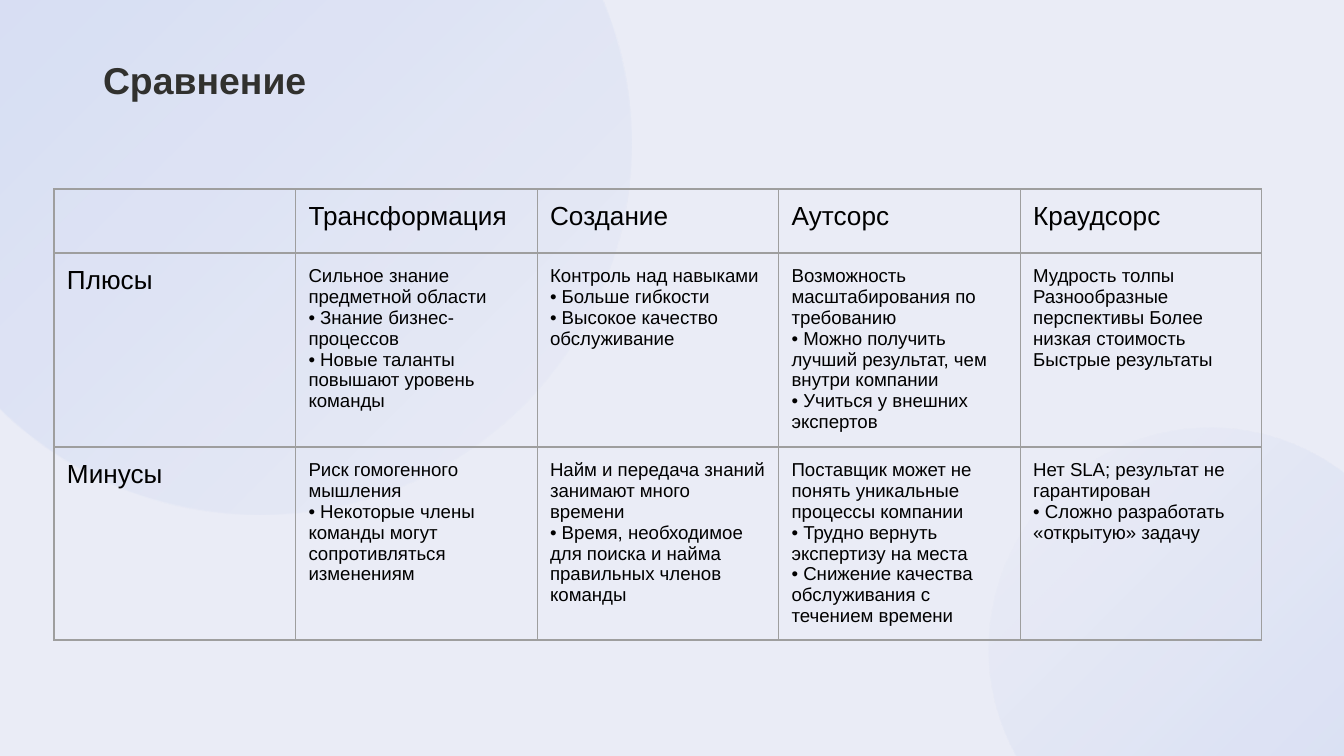
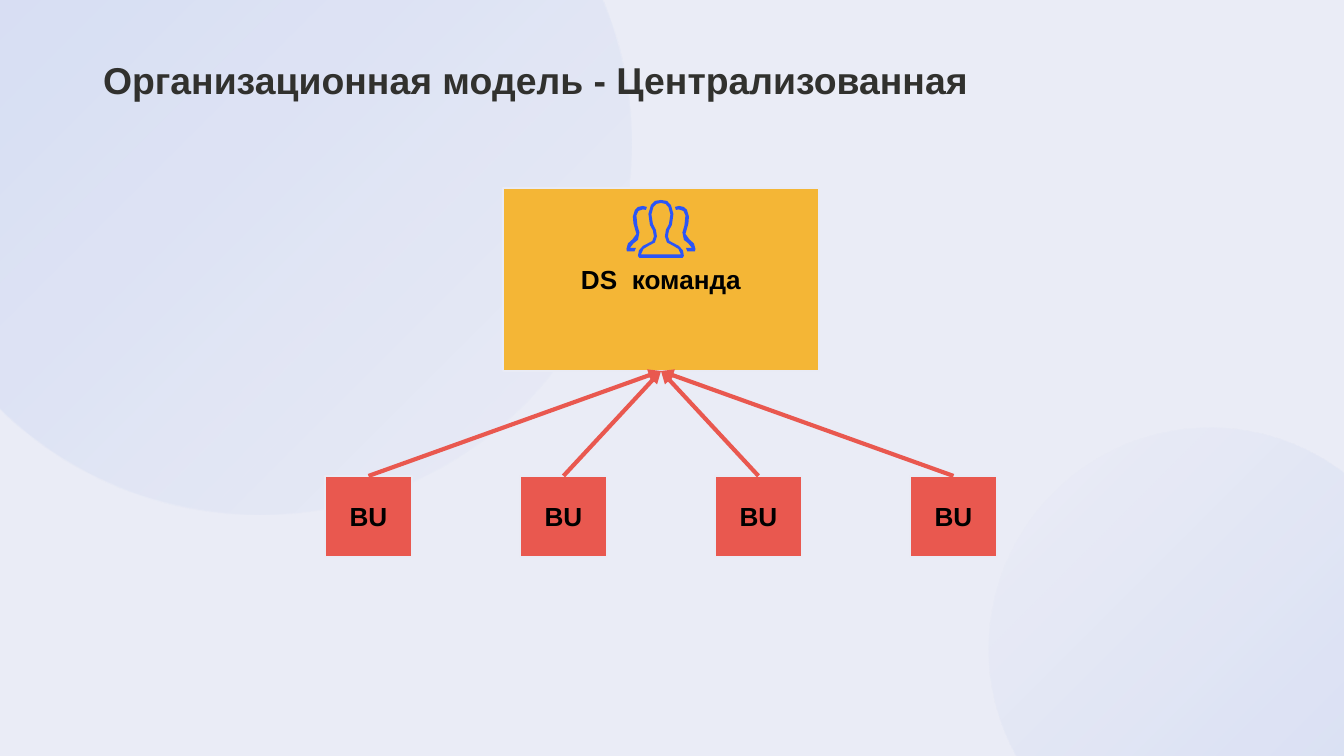
from lxml import etree
from pptx import Presentation
from pptx.dml.color import RGBColor
from pptx.enum import shapes, text
from pptx.oxml import ns
from pptx.util import Pt

SCALE = 914400 / 134.4
FONT = "Arial"
PAPER = RGBColor(0xEA, 0xEC, 0xF6)
GLOW = RGBColor(0x91, 0xAD, 0xE9)
INK = RGBColor(0x31, 0x31, 0x2E)
BLACK = RGBColor(0, 0, 0)
GREY = RGBColor(0x9E, 0x9E, 0x9E)
GOLD = RGBColor(0xF4, 0xB6, 0x36)
CORAL = RGBColor(0xE9, 0x58, 0x4F)
EDGE = RGBColor(0xE9, 0xEB, 0xF5)
BLUE = RGBColor(0x2B, 0x55, 0xF6)

HEADS = ["", "Трансформация", "Создание", "Аутсорс", "Краудсорс"]
PROS = [
    "Плюсы",
    "Сильное знание предметной области\n• Знание бизнес-процессов\n"
    "• Новые таланты повышают уровень команды",
    "Контроль над навыками\n• Больше гибкости\n• Высокое качество\nобслуживание",
    "Возможность масштабирования по требованию\n"
    "• Можно получить лучший результат, чем внутри компании\n"
    "• Учиться у внешних экспертов",
    "Мудрость толпы\nРазнообразные перспективы Более низкая стоимость\n"
    "Быстрые результаты",
]
CONS = [
    "Минусы",
    "Риск гомогенного мышления\n"
    "• Некоторые члены команды могут сопротивляться изменениям",
    "Найм и передача знаний занимают много времени\n"
    "• Время, необходимое для поиска и найма правильных членов команды",
    "Поставщик может не понять уникальные процессы компании\n"
    "• Трудно вернуть экспертизу на места\n"
    "• Снижение качества обслуживания с течением времени",
    "Нет SLA; результат не гарантирован\n• Сложно разработать «открытую» задачу",
]

BODY = [(0, 0), (12, 2), (20, 10), (25, 28), (22, 50), (16, 61), (14, 73),
        (17, 82), (36, 92), (44, 101), (46, 112), (43, 116), (0, 116)]
HOLE = [(0, 6), (9, 8), (15, 14), (19, 29), (16, 48), (10, 60), (8, 73),
        (12, 85), (25, 92), (35, 98), (40, 109), (0, 109)]
SIDE = [(57, 79), (49, 68), (55, 47), (56, 33), (52, 20), (46, 14), (36, 12),
        (28, 14), (30, 20), (36, 19), (45, 22), (49, 31), (47, 51), (43, 65),
        (46, 80), (55, 87), (62, 96), (50, 96), (53, 103), (68, 103),
        (69, 98), (66, 87)]


def px(n):
    """Turn px into EMU."""
    return round(n * SCALE)


def sub(node, tag, **attrs):
    """Add a drawing element under a node."""
    return etree.SubElement(node, ns.qn(tag), attrs)


def style(para, size, color, bold=False, align=text.PP_ALIGN.LEFT):
    """Format a whole paragraph."""
    para.alignment = align
    font = para.font
    font.name, font.size, font.bold = FONT, Pt(size), bold
    font.color.rgb = color


def inset(frame, n):
    """Give a text frame equal margins."""
    frame.margin_left = frame.margin_right = px(n)
    frame.margin_top = frame.margin_bottom = px(n)


def glow(slide, layout, x, y, size, stops, angle):
    """Place a translucent gradient circle on the layout."""
    disc = slide.shapes.add_shape(
        shapes.MSO_SHAPE.OVAL, px(x), px(y), px(size), px(size))
    disc.shadow.inherit = False
    disc.line.fill.background()
    disc.fill.gradient()
    disc.fill.gradient_angle = angle
    marks = disc.element.find(".//" + ns.qn("a:gsLst"))
    for mark in list(marks):
        marks.remove(mark)
    for pos, alpha in stops:
        mark = sub(marks, "a:gs", pos=str(pos * 1000))
        tint = sub(mark, "a:srgbClr", val=str(GLOW))
        sub(tint, "a:alpha", val=str(alpha * 1000))
    layout.shapes.element.insert(2, disc.element)


def page(deck, layout, name):
    """Add a slide with a styled title."""
    slide = deck.slides.add_slide(layout)
    title = slide.shapes.title
    title.left, title.top, title.width, title.height = map(px, (103, 56, 996, 46))
    frame = title.text_frame
    frame.text = name
    frame.auto_size = text.MSO_AUTO_SIZE.NONE
    frame.vertical_anchor = text.MSO_ANCHOR.BOTTOM
    inset(frame, 0)
    style(frame.paragraphs[0], 20, INK, True)
    return slide


def border(cell):
    """Rule all four sides of a cell."""
    props = cell._tc.get_or_add_tcPr()
    for side in "LRTB":
        line = sub(props, "a:ln" + side, w=str(Pt(0.75)))
        sub(sub(line, "a:solidFill"), "a:srgbClr", val=str(GREY))


def grid(slide, rows, x, y, width, heights):
    """Add a ruled table with large heads and small body text."""
    count = len(rows[0])
    table = slide.shapes.add_table(
        len(rows), count, px(x), px(y), px(width), px(sum(heights))).table
    table.first_row = table.horz_banding = False
    for col in table.columns:
        col.width = px(width / count)
    for r, (row, height) in enumerate(zip(rows, heights)):
        table.rows[r].height = px(height)
        for c, words in enumerate(row):
            cell = table.cell(r, c)
            border(cell)
            cell.fill.background()
            inset(cell, 13)
            cell.text = words
            for para in cell.text_frame.paragraphs:
                style(para, 10 if r and c else 14, BLACK)


def box(slide, words, x, y, width, height, color):
    """Add a filled box with a centred bold label."""
    shape = slide.shapes.add_shape(
        shapes.MSO_SHAPE.RECTANGLE, px(x), px(y), px(width), px(height))
    shape.shadow.inherit = False
    shape.fill.solid()
    shape.fill.fore_color.rgb = color
    shape.line.color.rgb = EDGE
    shape.line.width = Pt(0.75)
    frame = shape.text_frame
    frame.text = words
    frame.vertical_anchor = text.MSO_ANCHOR.MIDDLE
    inset(frame, 13)
    style(frame.paragraphs[0], 14, BLACK, True, text.PP_ALIGN.CENTER)
    return shape


def arrow(slide, start, end):
    """Join the top of one box to the bottom of another."""
    link = slide.shapes.add_connector(shapes.MSO_CONNECTOR.STRAIGHT, 0, 0, 0, 0)
    link.begin_connect(start, 0)
    link.end_connect(end, 2)
    link.line.color.rgb = CORAL
    link.line.width = Pt(2.25)
    sub(link.line._get_or_add_ln(), "a:tailEnd", type="triangle")
    sub(link.element.spPr, "a:effectLst")


def flip(points):
    """Mirror points across the axis."""
    return [(-x, y) for x, y in reversed(points)]


def crowd(slide, x, y):
    """Draw the icon of three people, in half px around an axis."""
    loops = [BODY + flip(BODY)[1:-1], HOLE + flip(HOLE)[1:-1], SIDE, flip(SIDE)]
    pen = slide.shapes.build_freeform(*loops[0][0], scale=SCALE / 2)
    for i, loop in enumerate(loops):
        if i:
            pen.move_to(*loop[0])
        pen.add_line_segments(loop[1:], close=True)
    icon = pen.convert_to_shape(px(x), px(y))
    icon.shadow.inherit = False
    icon.fill.solid()
    icon.fill.fore_color.rgb = BLUE
    icon.line.fill.background()


def main():
    """Build both slides."""
    deck = Presentation()
    deck.slide_width, deck.slide_height = px(1344), px(756)
    layout = deck.slide_layouts[5]
    back = layout.background.fill
    back.solid()
    back.fore_color.rgb = PAPER

    slide = page(deck, layout, "Сравнение")
    glow(slide, layout, -111, -227, 742, [(0, 0), (75, 20), (100, 20)], 135)
    glow(slide, layout, 989, 428, 441,
         [(0, 0), (10, 0), (90, 20), (100, 20)], 315)
    grid(slide, [HEADS, PROS, CONS], 54, 189, 1208, [64, 194, 193])

    slide = page(deck, layout, "Организационная модель - Централизованная")
    team = box(slide, "DS  команда", 503, 188, 316, 183, GOLD)
    units = [box(slide, "BU", 325 + 195 * i, 476, 87, 81, CORAL)
             for i in range(4)]
    for unit in units:
        arrow(slide, unit, team)
    crowd(slide, 661, 200)
    deck.save("out.pptx")


if __name__ == "__main__":
    main()
